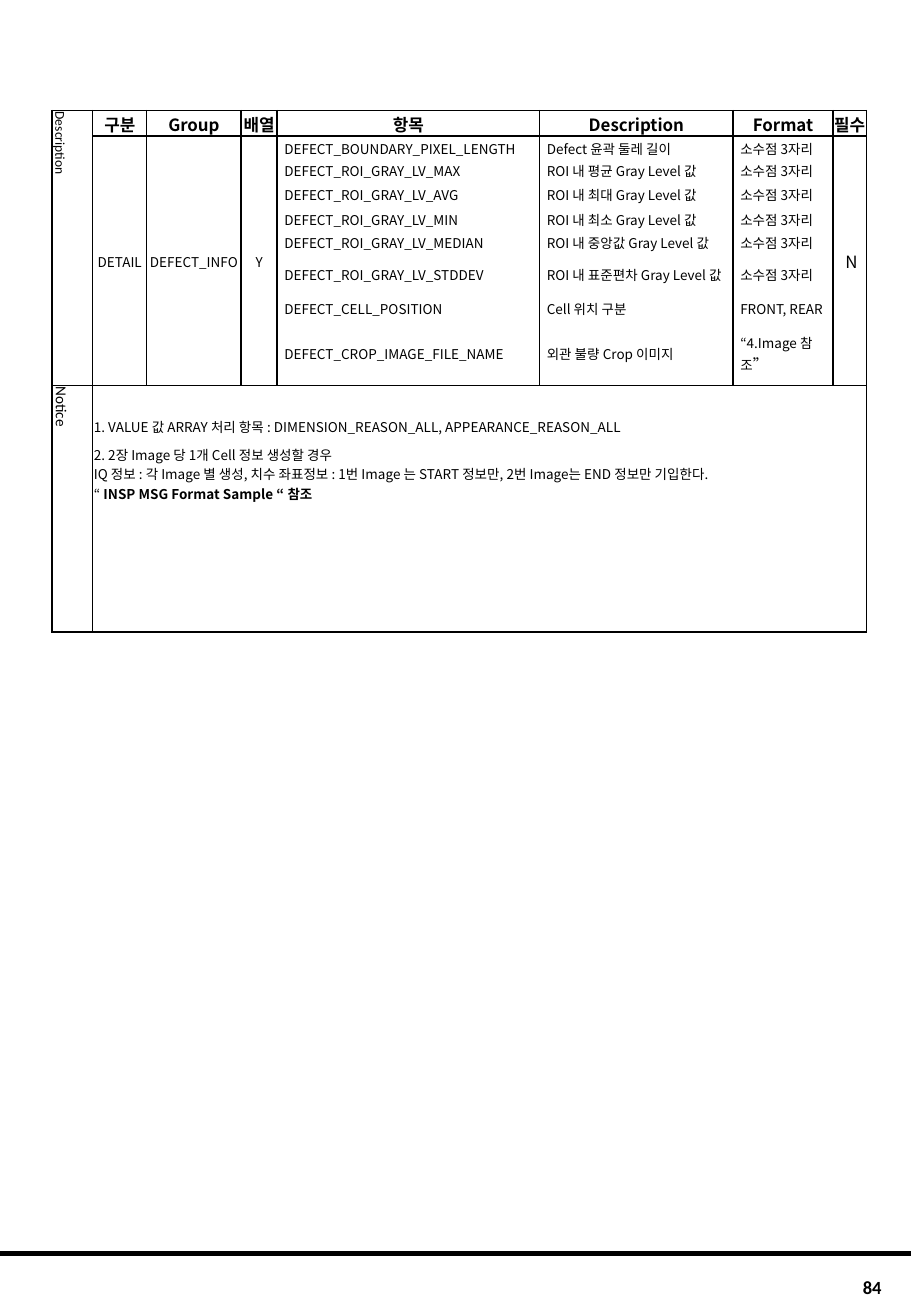
"""Builds the defect information message table page."""
from lxml.etree import SubElement
from pptx import Presentation
from pptx.dml.color import RGBColor
from pptx.enum.shapes import MSO_CONNECTOR as Connector
from pptx.enum.text import MSO_ANCHOR as Anchor, PP_ALIGN as Align
from pptx.oxml import parse_xml
from pptx.oxml.ns import nsdecls, qn
from pptx.util import Pt

COLORS = {"ink": "000000"}
INK = RGBColor.from_string(COLORS["ink"])
KOREAN, LATIN = "Noto Sans CJK KR", "Calibri"
PLAIN_STYLE = "{2D5ABB26-0587-4C30-8999-92F81FD0307C}"
DECIMALS = "소수점 3자리"


def style(para, size, name=KOREAN, bold=False, align=Align.LEFT):
    para.alignment = align
    font = para.font
    font.size, font.name, font.bold = Pt(size), name, bold
    font.color.rgb = INK
    SubElement(para._p.pPr.find(qn("a:defRPr")), qn("a:ea"), typeface=KOREAN)


def write(row, column, text, size=8, **look):
    para = grid.cell(row, column).text_frame.paragraphs[0]
    para.add_run().text = text
    style(para, size, **look)


deck = Presentation()
deck.slide_width, deck.slide_height = Pt(540), Pt(780)
page = deck.slides.add_slide(deck.slide_layouts[6])

footer_rule = page.shapes.add_connector(Connector.STRAIGHT, 0, Pt(743), Pt(540), Pt(743))
footer_rule.line.width = Pt(3)
footer_rule.line.color.rgb = INK
SubElement(footer_rule._element.spPr, qn("a:effectLst"))

number_box = page.shapes.add_textbox(Pt(445), Pt(753), Pt(84.7), Pt(20))
number_box.text_frame.word_wrap = True
number_box.text_frame.vertical_anchor = Anchor.MIDDLE
number_para = number_box.text_frame.paragraphs[0]
number_para.add_run().text = "84"
style(number_para, 11, LATIN, True, Align.RIGHT)

widths = [24.3, 32, 56, 21.3, 155.6, 114.7, 59.3, 19.7]
heights = [15, 13.9, 12.8, 15.9, 13.1, 14.2, 24.2, 16, 34.7, 146.2]
last_row, last_column = len(heights) - 1, len(widths) - 1
frame = page.shapes.add_table(len(heights), len(widths), Pt(30.7), Pt(65.5),
                              Pt(sum(widths)), Pt(sum(heights)))
grid = frame.table
grid.first_row = grid.horz_banding = False
grid._tbl.tblPr.find(qn("a:tableStyleId")).text = PLAIN_STYLE
for column, width in zip(grid.columns, widths):
    column.width = Pt(width)
for row, height in zip(grid.rows, heights):
    row.height = Pt(height)

for c in (1, 2, 3, 7):
    grid.cell(1, c).merge(grid.cell(last_row - 1, c))
grid.cell(0, 0).merge(grid.cell(last_row - 1, 0))
grid.cell(last_row, 1).merge(grid.cell(last_row, last_column))

ink_fill = f'<a:solidFill><a:srgbClr val="{COLORS["ink"]}"/></a:solidFill>'
for r in range(len(heights)):
    for c in range(len(widths)):
        cell = grid.cell(r, c)
        side_margin = 0.2 if c == last_column else 0.7
        cell.vertical_anchor = Anchor.MIDDLE
        cell.margin_left = Pt(4.3 if 0 < r < last_row and 4 <= c <= 6 else side_margin)
        cell.margin_right = Pt(side_margin)
        cell.margin_top, cell.margin_bottom = Pt(0.7), 0
        cell.fill.background()
        in_notice = r == last_row and c > 0
        whole = cell.is_merge_origin
        sides = {"L": whole or not in_notice,
                 "R": whole or not in_notice or c == last_column,
                 "T": whole or r in (0, 1, last_row),
                 "B": whole or r in (0, last_row - 1, last_row)}
        drawn = [side for side in sides if sides[side] or not cell.is_spanned]
        for index, side in enumerate(drawn):
            line_fill = ink_fill if sides[side] else "<a:noFill/>"
            cell._tc.tcPr.insert(index, parse_xml(
                f'<a:ln{side} {nsdecls("a")} w="12700">{line_fill}</a:ln{side}>'))

for r, label, size in ((0, "Description", 8), (last_row, "Notice", 9)):
    grid.cell(r, 0)._tc.tcPr.set("vert", "vert")
    write(r, 0, label, size, name=LATIN)

headings = ["구분", "Group", "배열", "항목", "Description", "Format", "필수"]
for c, heading in enumerate(headings, 1):
    write(0, c, heading, 10, bold=True, align=Align.CENTER)

for c, text, size in ((1, "DETAIL", 8), (2, "DEFECT_INFO", 8), (3, "Y", 8), (7, " N", 10)):
    write(1, c, text, size, align=Align.CENTER)

items = [
    ("BOUNDARY_PIXEL_LENGTH", "Defect 윤곽 둘레 길이", DECIMALS),
    ("ROI_GRAY_LV_MAX", "ROI 내 평균 Gray Level 값", DECIMALS),
    ("ROI_GRAY_LV_AVG", "ROI 내 최대 Gray Level 값", DECIMALS),
    ("ROI_GRAY_LV_MIN", "ROI 내 최소 Gray Level 값", DECIMALS),
    ("ROI_GRAY_LV_MEDIAN", "ROI 내 중앙값 Gray Level 값", DECIMALS),
    ("ROI_GRAY_LV_STDDEV", "ROI 내 표준편차 Gray Level 값", DECIMALS),
    ("CELL_POSITION", "Cell 위치 구분", "FRONT, REAR"),
    ("CROP_IMAGE_FILE_NAME", "외관 불량 Crop 이미지", "“4.Image 참조"),
]
for r, (item, meaning, form) in enumerate(items, 1):
    write(r, 4, "DEFECT_" + item)
    write(r, 5, meaning)
    write(r, 6, form)
closing_quote = grid.cell(len(items), 6).text_frame.paragraphs[0].add_run()
closing_quote.text = "”"
closing_quote.font.size = Pt(9)

notice = grid.cell(last_row, 1)
notice.vertical_anchor = Anchor.TOP
notice.margin_top = Pt(14)
notes = [
    ("1. VALUE 값 ARRAY 처리 항목 : DIMENSION_REASON_ALL, APPEARANCE_REASON_ALL", 1.4),
    ("2. 2장 Image 당 1개 Cell 정보 생성할 경우", 1.4),
    ("IQ 정보 : 각 Image 별 생성, 치수 좌표정보 : 1번 Image 는 START 정보만, "
     "2번 Image는 END 정보만 기입한다.", 1.0),
    ("“", 1.0),
]
for index, (text, spacing) in enumerate(notes):
    para = notice.text_frame.add_paragraph() if index else notice.text_frame.paragraphs[0]
    para.add_run().text = text
    para.line_spacing = spacing
    style(para, 8)
sample = para.add_run()
sample.text = " INSP MSG Format Sample “ 참조"
sample.font.bold = True

deck.save("out.pptx")
